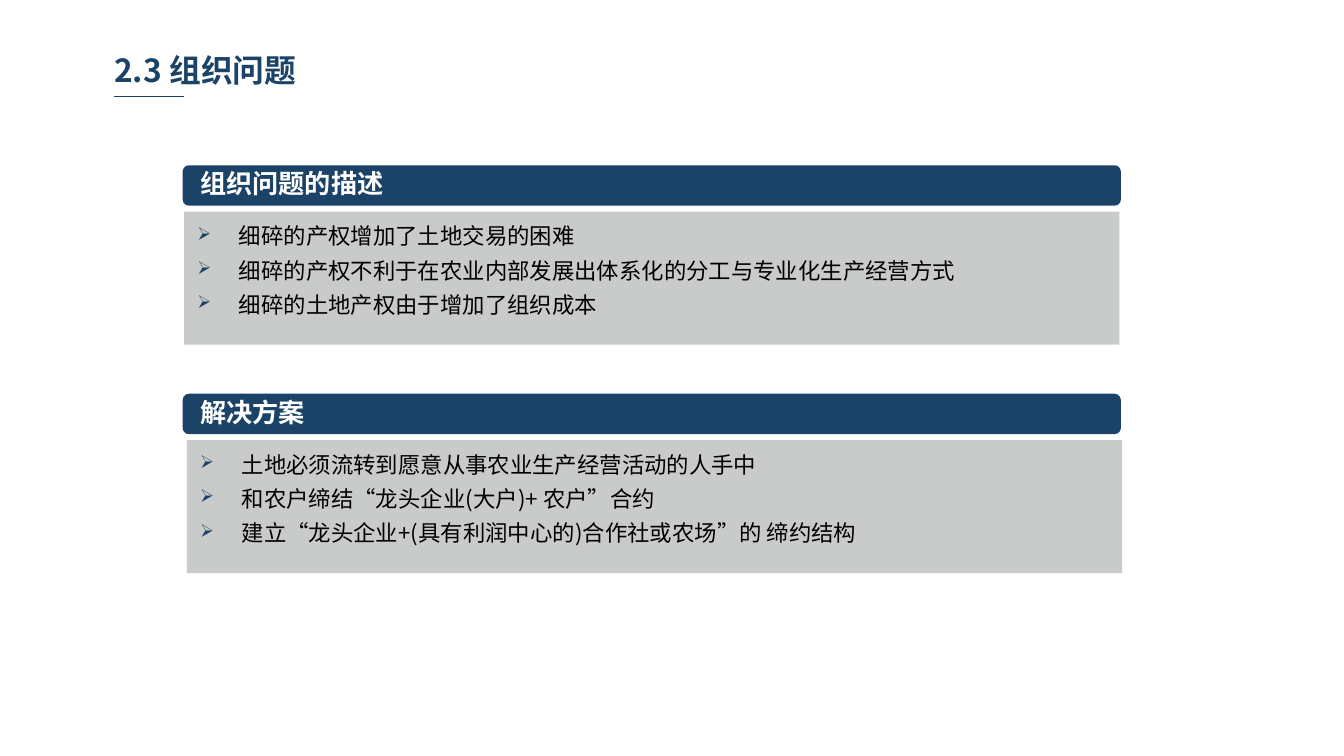
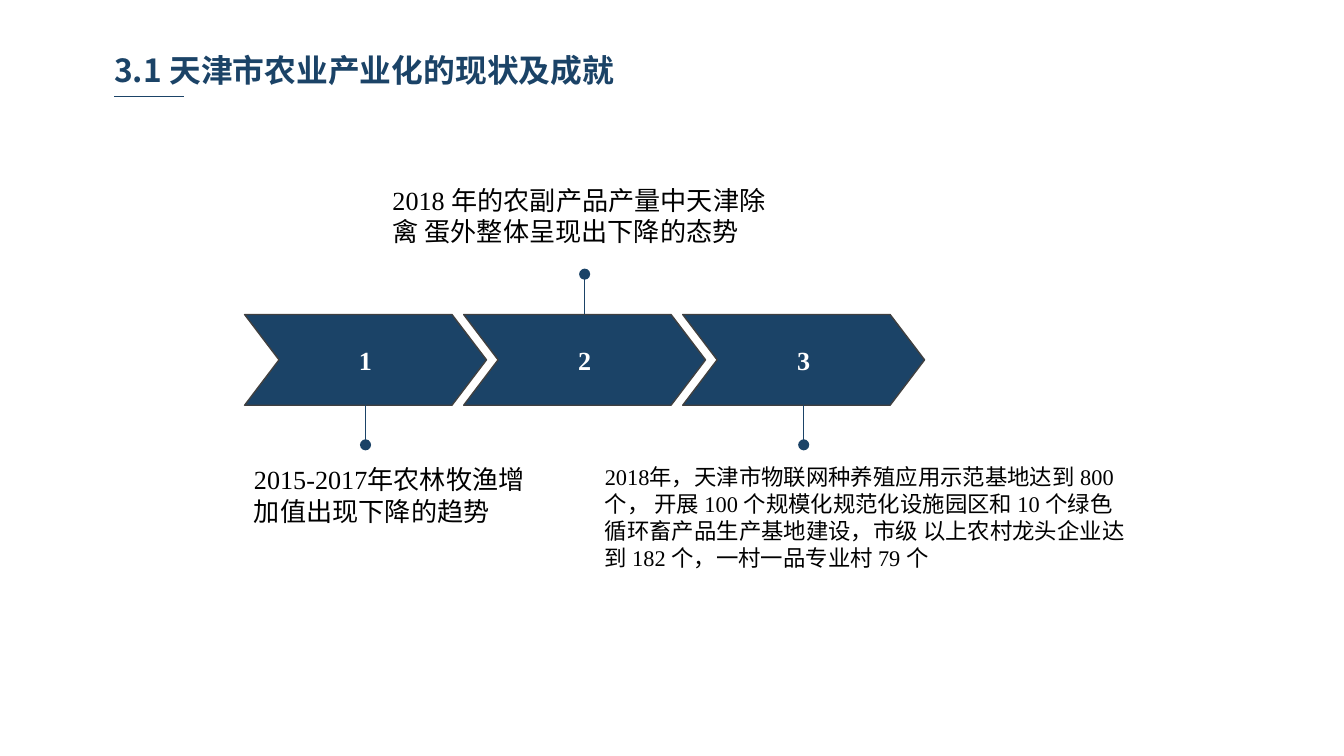
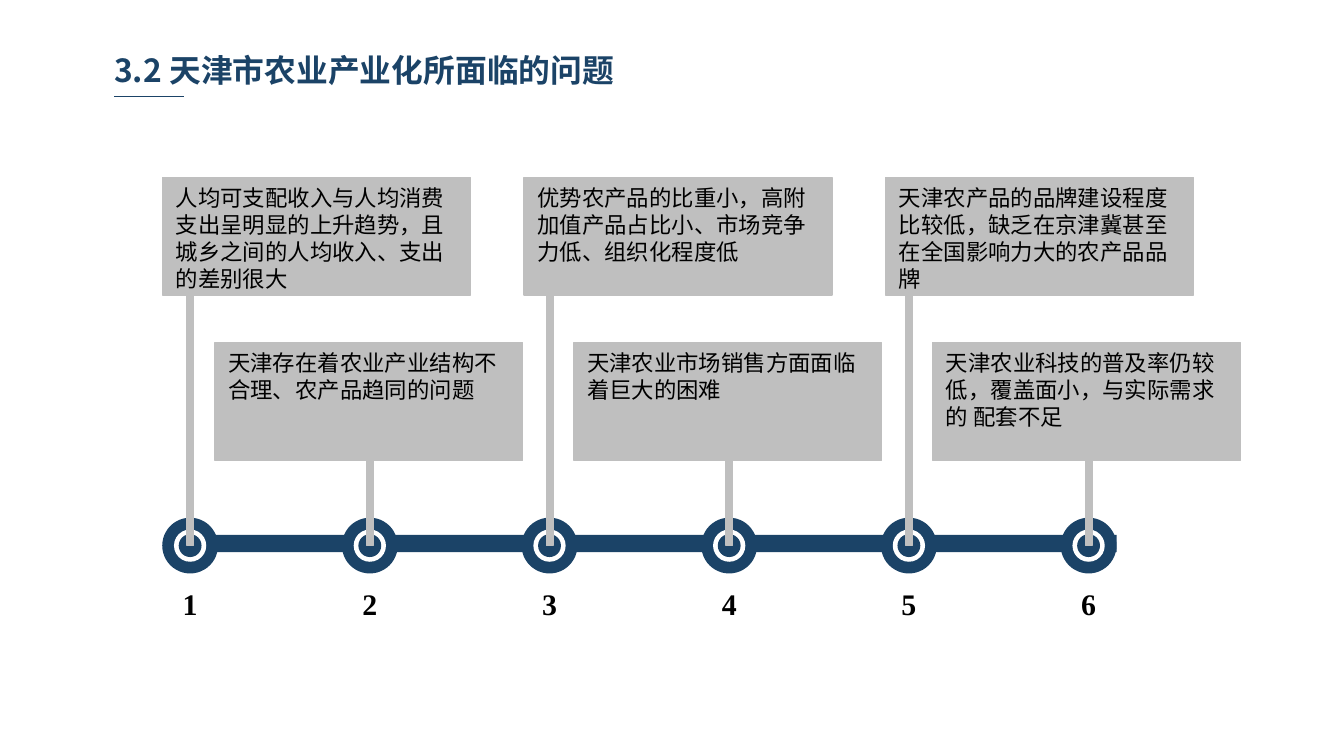
from lxml import etree
from pptx import Presentation
from pptx.dml.color import RGBColor
from pptx.enum.shapes import MSO_CONNECTOR, MSO_SHAPE
from pptx.enum.text import MSO_ANCHOR, PP_ALIGN
from pptx.oxml.ns import qn
from pptx.util import Inches, Pt

RECTANGLE, ROUNDED = MSO_SHAPE.RECTANGLE, MSO_SHAPE.ROUNDED_RECTANGLE
CHEVRON, OVAL = MSO_SHAPE.CHEVRON, MSO_SHAPE.OVAL
STRAIGHT = MSO_CONNECTOR.STRAIGHT
TOP, MIDDLE = MSO_ANCHOR.TOP, MSO_ANCHOR.MIDDLE
LEFT, CENTER, JUSTIFY = PP_ALIGN.LEFT, PP_ALIGN.CENTER, PP_ALIGN.JUSTIFY

COLORS = {
    "navy": "1B4367",
    "panel": "C9CACA",
    "card": "BFBFBF",
    "outline": "404040",
    "white": "FFFFFF",
    "black": "000000",
}
SANS, SERIF = "Noto Sans CJK SC", "Times New Roman"
COLUMNS, ROWS = 100, 56.25
TIGHT = (0.07, 0.04, 0.07, 0.04)
NORMAL = (0.1, 0.05, 0.1, 0.05)

SECTIONS = [
    ("组织问题的描述", 12.4, 13.7, [
        "细碎的产权增加了土地交易的困难",
        "细碎的产权不利于在农业内部发展出体系化的分工与专业化生产经营方式",
        "细碎的土地产权由于增加了组织成本",
    ]),
    ("解决方案", 29.4, 13.9, [
        "土地必须流转到愿意从事农业生产经营活动的人手中",
        "和农户缔结“龙头企业(大户)+ 农户”合约",
        "建立“龙头企业+(具有利润中心的)合作社或农场”的 缔约结构",
    ]),
]
STEPS = [
    ((18.2, 34.1, 22.7, 5.5), 14, "2015-2017年农林牧渔增加值出现下降的趋势"),
    ((28.5, 13.3, 30.1, 5.5), 14,
     "2018 年的农副产品产量中天津除禽 蛋外整体呈现出下降的态势"),
    ((44.3, 34.1, 40.5, 8.8), 12,
     "2018年，天津市物联网种养殖应用示范基地达到 800 个， 开展 100 个规模化规范化设施园区"
     "和 10 个绿色循环畜产品生产基地建设，市级 以上农村龙头企业达到 182 个，"
     "一村一品专业村 79 个"),
]
PROBLEMS = [
    "人均可支配收入与人均消费支出呈明显的上升趋势，且城乡之间的人均收入、支出的差别很大",
    "天津存在着农业产业结构不合理、农产品趋同的问题",
    "优势农产品的比重小，高附加值产品占比小、市场竞争力低、组织化程度低",
    "天津农业市场销售方面面临着巨大的困难",
    "天津农产品的品牌建设程度比较低，缺乏在京津冀甚至在全国影响力大的农产品品牌",
    "天津农业科技的普及率仍较低，覆盖面小，与实际需求的 配套不足",
]


class Deck:
    """Holds the shared style and the slide being built."""

    def __init__(self):
        self.presentation = Presentation()
        self.presentation.slide_width = Inches(10)
        self.presentation.slide_height = Inches(5.625)
        self.column = self.presentation.slide_width / COLUMNS
        self.row = self.presentation.slide_height / ROWS
        self.slide = None

    def place(self, left, top, width, height):
        """Turn grid units into slide lengths."""
        return (round(left * self.column), round(top * self.row),
                round(width * self.column), round(height * self.row))

    def start(self, title, width):
        """Add a slide with its underlined title."""
        self.slide = self.presentation.slides.add_slide(self.presentation.slide_layouts[6])
        self.text((7.8, 3.4, width, 3.6), title, 17, SANS, "navy", True)
        self.line((8.5, 7.2), (13.7, 7.2))

    def line(self, begin, end, dot=False):
        """Draw a thin line, with a dot at its end if asked."""
        connector = self.slide.shapes.add_connector(
            STRAIGHT, *self.place(*begin, *end))
        connector.line.color.rgb = RGBColor.from_string(COLORS["navy"])
        connector.line.width = Pt(0.75)
        if dot:
            outline = connector.line._get_or_add_ln()
            etree.SubElement(outline, qn("a:tailEnd"), type="oval")
        etree.SubElement(connector._element.spPr, qn("a:effectLst"))

    def shape(self, kind, box, fill, outline=None, weight=0.75, adjustment=None):
        """Draw a filled preset shape."""
        shape = self.slide.shapes.add_shape(kind, *self.place(*box))
        shape.shadow.inherit = False
        shape.fill.solid()
        shape.fill.fore_color.rgb = RGBColor.from_string(COLORS[fill])
        if outline:
            shape.line.color.rgb = RGBColor.from_string(COLORS[outline])
            shape.line.width = Pt(weight)
        else:
            shape.line.fill.background()
        if adjustment is not None:
            shape.adjustments[0] = adjustment
        return shape

    def text(self, box, words, size, font, color="black", bold=False, align=LEFT):
        """Add a text box with one paragraph."""
        shape = self.slide.shapes.add_textbox(*self.place(*box))
        self.set_text(shape, [words], size, font, color, bold, align)

    def set_text(self, shape, lines, size, font, color="black", bold=False,
                 align=LEFT, anchor=TOP, insets=TIGHT, bullets=False, spacing=None):
        """Fill a shape with paragraphs of one style."""
        frame = shape.text_frame
        frame.word_wrap = True
        frame.vertical_anchor = anchor
        (frame.margin_left, frame.margin_top,
         frame.margin_right, frame.margin_bottom) = map(Inches, insets)
        for index, words in enumerate(lines):
            paragraph = frame.add_paragraph() if index else frame.paragraphs[0]
            if bullets:
                self.bullet(paragraph)
                if index:
                    paragraph.space_before = Pt(4)
            paragraph.alignment = align
            if spacing:
                paragraph.line_spacing = spacing
            run = paragraph.add_run()
            run.text = words
            run.font.size = Pt(size)
            run.font.bold = bold
            run.font.name = font
            run.font.color.rgb = RGBColor.from_string(COLORS[color])
            etree.SubElement(run.font._element, qn("a:ea"), typeface=SANS)

    def bullet(self, paragraph):
        """Give a paragraph a hanging arrow bullet."""
        properties = paragraph._p.get_or_add_pPr()
        properties.set("marL", str(Inches(0.31)))
        properties.set("indent", str(-Inches(0.31)))
        color = etree.SubElement(properties, qn("a:buClr"))
        etree.SubElement(color, qn("a:srgbClr"), val=COLORS["navy"])
        etree.SubElement(properties, qn("a:buSzPct"), val="80000")
        etree.SubElement(properties, qn("a:buChar"), char="➢")

    def section(self, heading, top, panel_left, points):
        """Draw a heading bar above a panel of bullets."""
        panel = self.shape(RECTANGLE, (panel_left, top + 3.35, 69.6, 9.9), "panel")
        self.set_text(panel, points, 12, SANS, align=JUSTIFY,
                      insets=(0.1, 0.08, 0.1, 0.05), bullets=True)
        bar = self.shape(ROUNDED, (13.7, top, 69.6, 2.8), "navy", "navy", 1.5, 0.13)
        self.set_text(bar, [heading], 14, SANS, "white", True, anchor=MIDDLE,
                      insets=(0.11, 0, 0.11, 0), spacing=0.9)

    def step(self, number, box, size, words):
        """Draw a numbered chevron with its pointer and caption."""
        left, top, width, height = 18.2 + 16.3 * (number - 1), 23.4, 18, 6.75
        chevron = self.shape(CHEVRON, (left, top, width, height), "navy", "outline",
                             adjustment=0.38)
        self.set_text(chevron, [str(number)], 14, SERIF, "white", True, CENTER, MIDDLE)
        center = left + width / 2
        if number % 2:
            self.line((center, top + height), (center, 33.1), dot=True)
        else:
            self.line((center, top), (center, 20.4), dot=True)
        self.text(box, words, size, SERIF)

    def node(self, center):
        """Draw a timeline node of nested circles."""
        for diameter, fill in ((4.15, "navy"), (2.4, "white"), (1.7, "navy")):
            self.shape(OVAL, (center - diameter / 2, 40.6 - diameter / 2,
                              diameter, diameter), fill)

    def problem(self, index, center, words):
        """Draw a problem card on its stem with the number below."""
        pair, lower = divmod(index, 2)
        left, top = (16 + 26.7 * pair, 25.5) if lower else (12.1 + 26.9 * pair, 13.2)
        height = 8.75
        stem_top = top + height / 2
        self.shape(RECTANGLE, (center - 0.25, stem_top, 0.5, 40.6 - stem_top),
                   "card", "card")
        card = self.shape(RECTANGLE, (left, top, 22.9, height), "card", "card")
        self.set_text(card, [words], 12, SANS, insets=NORMAL)
        self.text((center - 1.55, 43.2, 3.1, 3.7), str(index + 1), 16, SERIF,
                  bold=True, align=CENTER)


def main():
    """Build the three slides."""
    deck = Deck()

    deck.start("2.3 组织问题", 24.7)
    for section in SECTIONS:
        deck.section(*section)

    deck.start("3.1 天津市农业产业化的现状及成就", 44.6)
    for number, step in enumerate(STEPS, 1):
        deck.step(number, *step)

    deck.start("3.2 天津市农业产业化所面临的问题", 44.6)
    deck.shape(RECTANGLE, (14.1, 39.8, 69, 1.3), "navy")
    centers = [14.15 + 13.37 * index for index in range(len(PROBLEMS))]
    for center in centers:
        deck.node(center)
    for index, (center, words) in enumerate(zip(centers, PROBLEMS)):
        deck.problem(index, center, words)

    deck.presentation.save("out.pptx")


if __name__ == "__main__":
    main()
